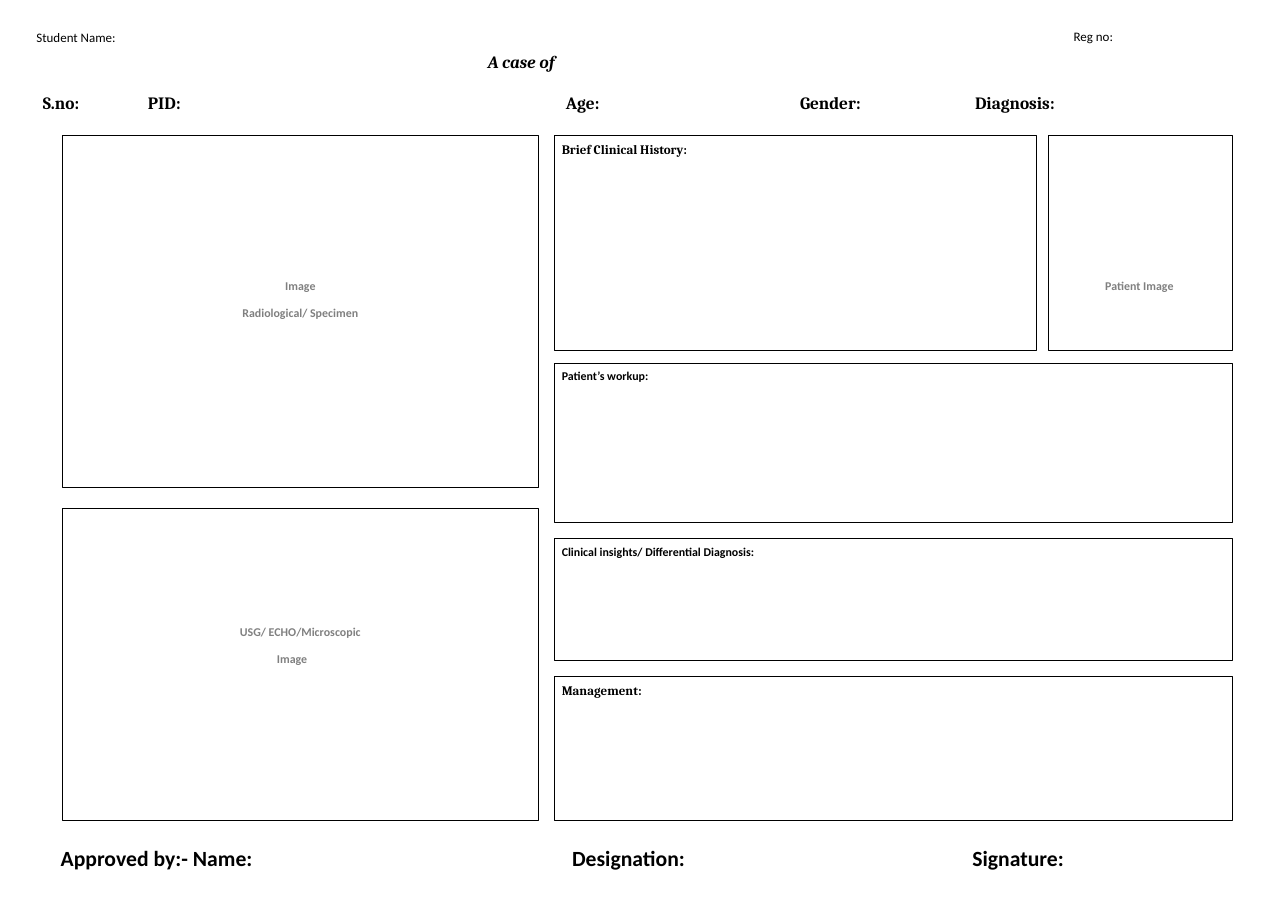
from pptx import Presentation
from pptx.dml.color import RGBColor
from pptx.enum.shapes import MSO_SHAPE
from pptx.enum.text import MSO_ANCHOR, PP_ALIGN
from pptx.oxml.ns import qn
from pptx.util import Pt
from lxml import etree

RECT = MSO_SHAPE.RECTANGLE
TOP, MIDDLE = MSO_ANCHOR.TOP, MSO_ANCHOR.MIDDLE
LEFT, CENTER = PP_ALIGN.LEFT, PP_ALIGN.CENTER
BLACK = RGBColor(0, 0, 0)
GREY = RGBColor(128, 128, 128)
WHITE = RGBColor(255, 255, 255)
SANS, SERIF = "Calibri", "Cambria"

LEFT_X, LEFT_W = 57.6, 440
MID_X, MID_W = 512, 627
ROW_Y = 125.3


def style(para, text, size, face, bold=True, italic=False, color=BLACK, tabs=()):
    """Fill a paragraph; tabs are left stops in points from the text edge."""
    para.text = text
    if tabs:
        stops = etree.SubElement(para._p.get_or_add_pPr(), qn("a:tabLst"))
        for stop in tabs:
            etree.SubElement(stops, qn("a:tab"), pos=str(int(Pt(stop))), algn="l")
    font = para.font
    font.size, font.name = Pt(size), face
    font.bold, font.italic = bold, italic
    font.color.rgb = color


def add_label(slide, x, y, w, h):
    frame = slide.shapes.add_textbox(Pt(x), Pt(y), Pt(w), Pt(h)).text_frame
    frame.word_wrap = True
    return frame


def add_panel(slide, x, y, w, h, inset=3.6):
    """Draw an outlined box whose text starts inset points below its top."""
    box = slide.shapes.add_shape(RECT, Pt(x), Pt(y), Pt(w), Pt(h))
    box.shadow.inherit = False
    box.fill.solid()
    box.fill.fore_color.rgb = WHITE
    box.line.color.rgb = BLACK
    box.line.width = Pt(0.75)
    frame = box.text_frame
    frame.word_wrap = True
    frame.vertical_anchor = TOP
    frame.margin_top = Pt(inset)
    return frame


def add_line(frame, text, size, face, align=LEFT, first=True, **look):
    para = frame.paragraphs[0] if first else frame.add_paragraph()
    para.alignment = align
    para.line_spacing = 1.14
    para.space_after = Pt(10)
    style(para, text, size, face, **look)


def add_header(slide):
    for text, x, y in (("Student Name:", 26.6, 23.8), ("Reg no:", 985, 23)):
        frame = add_label(slide, x, y, 155, 21.6)
        style(frame.paragraphs[0], text, 12, SANS, bold=False)

    frame = add_label(slide, 12.2, 23.8, 1166, 85)
    frame.vertical_anchor = MIDDLE
    title, fields = frame.paragraphs[0], frame.add_paragraph()
    title.line_spacing = fields.line_spacing = 2.0
    style(title, "\tA case of", 16, SERIF, italic=True, tabs=[431.5])
    style(fields, "\tS.no:\tPID:\tAge:\tGender:\tDiagnosis:", 16, SERIF,
          tabs=[20.3, 117.4, 503.7, 720, 881.7])


def add_images(slide):
    hint = {"color": GREY}
    scan = add_panel(slide, LEFT_X, ROW_Y, LEFT_W, 325.4, 130)
    add_line(scan, "Image", 11, SANS, CENTER, **hint)
    add_line(scan, "Radiological/ Specimen", 11, SANS, CENTER, first=False, **hint)

    echo = add_panel(slide, LEFT_X, 470.2, LEFT_W, 288, 105)
    add_line(echo, "USG/ ECHO/Microscopic", 11, SANS, CENTER, **hint)
    add_line(echo, "\tImage", 11, SANS, first=False, tabs=[191.2], **hint)

    photo = add_panel(slide, 969.1, ROW_Y, 170, 198.7, 130)
    add_line(photo, "Patient Image ", 11, SANS, CENTER, **hint)


def add_notes(slide):
    panels = (
        ("Brief Clinical History:", ROW_Y, 445.7, 198.7, 12, SERIF),
        ("Patient’s workup:", 335.5, MID_W, 147.6, 11, SANS),
        ("Clinical insights/ Differential Diagnosis:", 497.5, MID_W, 113, 11, SANS),
        ("Management:", 625, MID_W, 133.2, 12, SERIF),
    )
    for text, y, w, h, size, face in panels:
        add_line(add_panel(slide, MID_X, y, w, h), text, size, face)


def add_footer(slide):
    frame = add_label(slide, 18, 776.9, 1000, 31.7)
    style(frame.paragraphs[0], "\tApproved by:- Name:\tDesignation:\tSignature:",
          20, SANS, tabs=[31, 503.5, 873.4])


def main():
    deck = Presentation()
    deck.slide_width, deck.slide_height = Pt(1190.16), Pt(840.96)
    slide = deck.slides.add_slide(deck.slide_layouts[6])
    add_header(slide)
    add_images(slide)
    add_notes(slide)
    add_footer(slide)
    deck.save("out.pptx")


if __name__ == "__main__":
    main()
